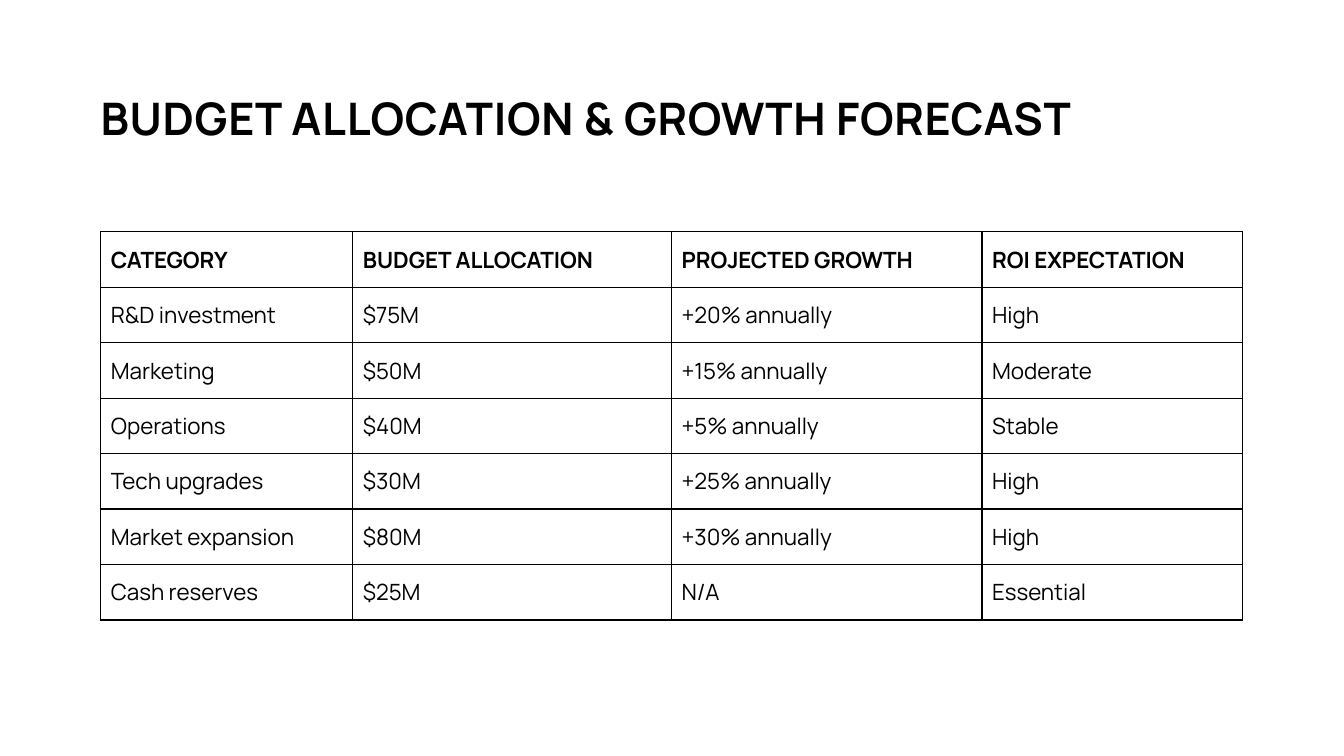
from lxml import etree
from pptx import Presentation
from pptx import util as u
from pptx.dml.color import RGBColor
from pptx.enum import text
from pptx.oxml import ns

FONT = "Manrope"
COLORS = {"ink": "000000", "paper": "FFFFFF"}
COLUMN_WIDTHS = [2.5, 3.16, 3.08, 2.58]
ROW_HEIGHT = 0.55
BUDGET_ROWS = [
    ["CATEGORY", "BUDGET ALLOCATION", "PROJECTED GROWTH", "ROI EXPECTATION"],
    ["R&D investment", "$75M", "+20% annually", "High"],
    ["Marketing", "$50M", "+15% annually", "Moderate"],
    ["Operations", "$40M", "+5% annually", "Stable"],
    ["Tech upgrades", "$30M", "+25% annually", "High"],
    ["Market expansion", "$80M", "+30% annually", "High"],
    ["Cash reserves", "$25M", "N/A", "Essential"],
]


def style_font(font, size, bold):
    font.name = FONT
    font.size = u.Pt(size)
    font.bold = bold
    font.color.rgb = RGBColor.from_string(COLORS["ink"])


def add_borders(cell, points):
    """Rule all four sides of a cell; lines come before the fill."""
    properties = cell._tc.get_or_add_tcPr()
    for index, side in enumerate(("lnL", "lnR", "lnT", "lnB")):
        line = etree.Element(ns.qn(f"a:{side}"), w=str(u.Pt(points)))
        fill = etree.SubElement(line, ns.qn("a:solidFill"))
        etree.SubElement(fill, ns.qn("a:srgbClr"), val=COLORS["ink"])
        properties.insert(index, line)


def add_title(page, left, top, width, height):
    box = page.shapes.add_textbox(*map(u.Inches, (left, top, width, height)))
    frame = box.text_frame
    frame.word_wrap = True
    frame.vertical_anchor = text.MSO_ANCHOR.TOP
    para = frame.paragraphs[0]
    para.line_spacing = 0.9
    span = para.add_run()
    span.text = "BUDGET ALLOCATION & GROWTH FORECAST"
    style_font(para.font, 32, True)
    # Letter spacing, in hundredths of a point
    span._r.get_or_add_rPr().set("spc", "50")


def add_budget_table(page, left, top):
    width, height = sum(COLUMN_WIDTHS), ROW_HEIGHT * len(BUDGET_ROWS)
    frame = page.shapes.add_table(
        len(BUDGET_ROWS), len(COLUMN_WIDTHS),
        *map(u.Inches, (left, top, width, height)))
    table = frame.table
    table.horz_banding = False
    for column, column_width in zip(table.columns, COLUMN_WIDTHS):
        column.width = u.Inches(column_width)

    for row_index, (row, values) in enumerate(zip(table.rows, BUDGET_ROWS)):
        row.height = u.Inches(ROW_HEIGHT)
        for cell, value in zip(row.cells, values):
            cell.text = value
            cell.vertical_anchor = text.MSO_ANCHOR.MIDDLE
            cell.fill.solid()
            cell.fill.fore_color.rgb = RGBColor.from_string(COLORS["paper"])
            add_borders(cell, 1)
            style_font(cell.text_frame.paragraphs[0].font, 16, row_index == 0)


def main():
    deck = Presentation()
    deck.slide_width, deck.slide_height = u.Inches(13.33), u.Inches(7.5)
    page = deck.slides.add_slide(deck.slide_layouts[6])
    add_title(page, 0.9, 0.91, 11.42, 1.24)
    add_budget_table(page, 1, 2.3)
    deck.save("out.pptx")


if __name__ == "__main__":
    main()
